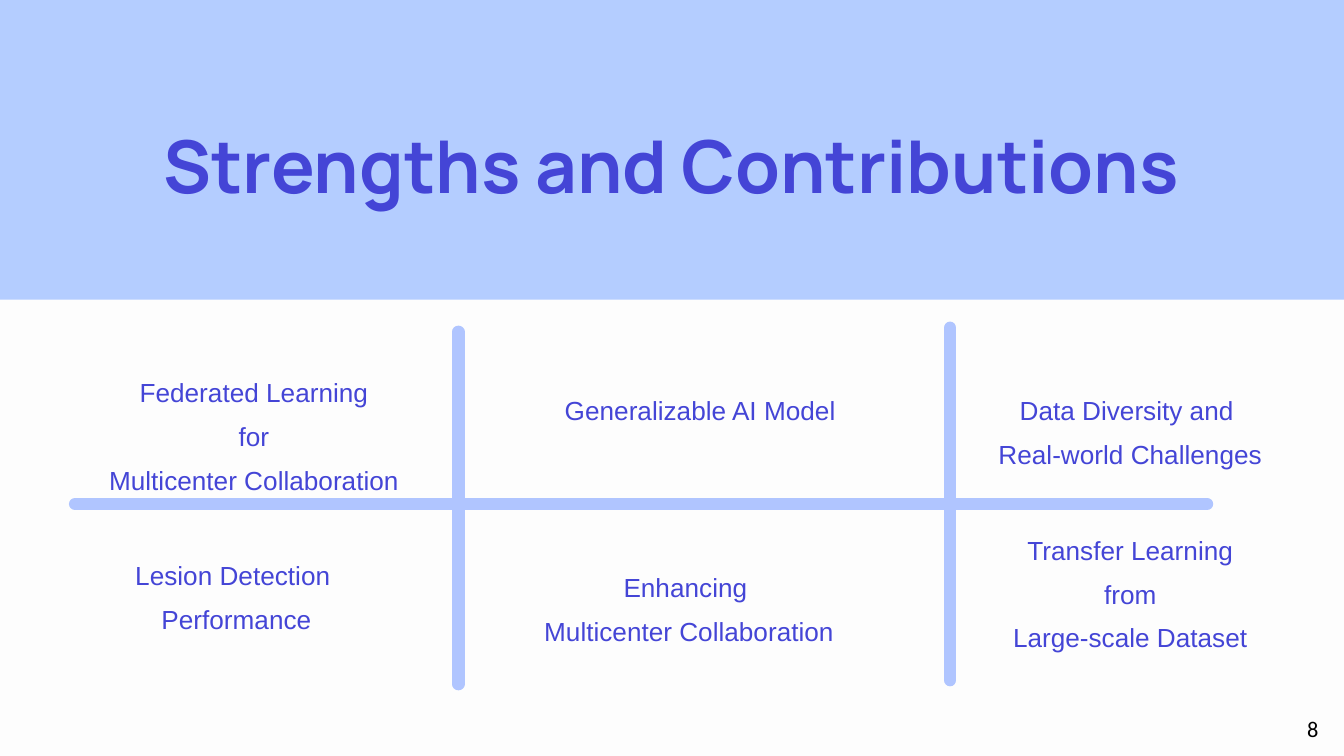
from lxml import etree
from pptx import Presentation
from pptx.dml.color import RGBColor
from pptx.enum import shapes, text
from pptx.oxml.ns import qn
from pptx.util import Inches, Pt

PAPER = RGBColor(0xFD, 0xFD, 0xFD)
BAND = RGBColor(0xB4, 0xCD, 0xFF)
RULE = RGBColor(0xB0, 0xC5, 0xFF)
INDIGO = RGBColor(0x44, 0x45, 0xD6)
BLACK = RGBColor(0, 0, 0)


def write(sp, lines, size, font, color, bold=False, align=text.PP_ALIGN.CENTER,
          spacing=1.4):
    """Fill a shape with one formatted paragraph per line, without margins."""
    tf = sp.text_frame
    tf.text = "\n".join(lines)
    tf.word_wrap = True
    tf.auto_size = text.MSO_AUTO_SIZE.NONE
    tf.vertical_anchor = text.MSO_ANCHOR.TOP
    tf.margin_left = tf.margin_right = tf.margin_top = tf.margin_bottom = 0
    for p in tf.paragraphs:
        p.alignment = align
        p.line_spacing = spacing
        for r in p.runs:
            r.font.size = Pt(size)
            r.font.name = font
            r.font.bold = bold
            r.font.color.rgb = color


prs = Presentation()
prs.slide_width = Inches(10)
prs.slide_height = Inches(10 * 9 / 16)  # widescreen
s = prs.slides.add_slide(prs.slide_layouts[5])
s.background.fill.solid()
s.background.fill.fore_color.rgb = PAPER

# Title on its band, which bleeds over the slide's edges
title = s.shapes.title
title.left, title.top = Inches(0.56), Inches(0.64)
title.width, title.height = Inches(8.98), Inches(0.77)
write(title, ["Strengths and Contributions "], 39, "Manrope", INDIGO, bold=True)

band = s.shapes.add_shape(shapes.MSO_SHAPE.RECTANGLE, Inches(-0.28), Inches(-0.31),
                          Inches(10.56), Inches(2.54))
band.shadow.inherit = False
band.fill.solid()
band.fill.fore_color.rgb = BAND
band.line.fill.background()
title._element.addprevious(band._element)  # behind the title

# Round-ended rules that divide the six cells
rules = [
    (3.41, 2.47, 3.41, 5.09),
    (7.07, 2.44, 7.07, 5.06),
    (8.98, 3.75, 0.56, 3.75),
]
for ends in rules:
    rule = s.shapes.add_connector(shapes.MSO_CONNECTOR.STRAIGHT, *map(Inches, ends))
    rule.line.color.rgb = RULE
    rule.line.width = Pt(6.75)
    rule.line._get_or_add_ln().set("cap", "rnd")
    etree.SubElement(rule._element.spPr, qn("a:effectLst"))

# Six contributions: left, top, width, lines
LINE_HEIGHT = 0.27
contributions = [
    (0.4, 2.71, 2.98, ["Federated Learning", " for ", "Multicenter Collaboration"]),
    (3.64, 2.84, 3.14, ["Generalizable AI Model"]),
    (7.35, 2.84, 2.12, ["Data Diversity and ", "Real-world Challenges"]),
    (0.93, 4.07, 1.66, ["Lesion Detection ", "Performance"]),
    (7.47, 3.88, 1.88, ["Transfer Learning", " from ", "Large-scale Dataset"]),
    (3.84, 4.16, 2.52, ["Enhancing", " Multicenter Collaboration"]),
]
for left, top, width, lines in contributions:
    box = s.shapes.add_textbox(Inches(left), Inches(top), Inches(width),
                               Inches(LINE_HEIGHT * len(lines)))
    write(box, lines, 14, "Arial", INDIGO)

# Page number
number = s.shapes.add_textbox(Inches(8.69), Inches(5.32), Inches(1.17), Inches(0.2))
write(number, ["8"], 12, "Calibri", BLACK, align=text.PP_ALIGN.RIGHT, spacing=1)
tf = number.text_frame
tf.vertical_anchor = text.MSO_ANCHOR.MIDDLE
tf.margin_left = tf.margin_right = Inches(0.05)
tf.margin_top = tf.margin_bottom = Inches(0.02)

prs.save("out.pptx")
